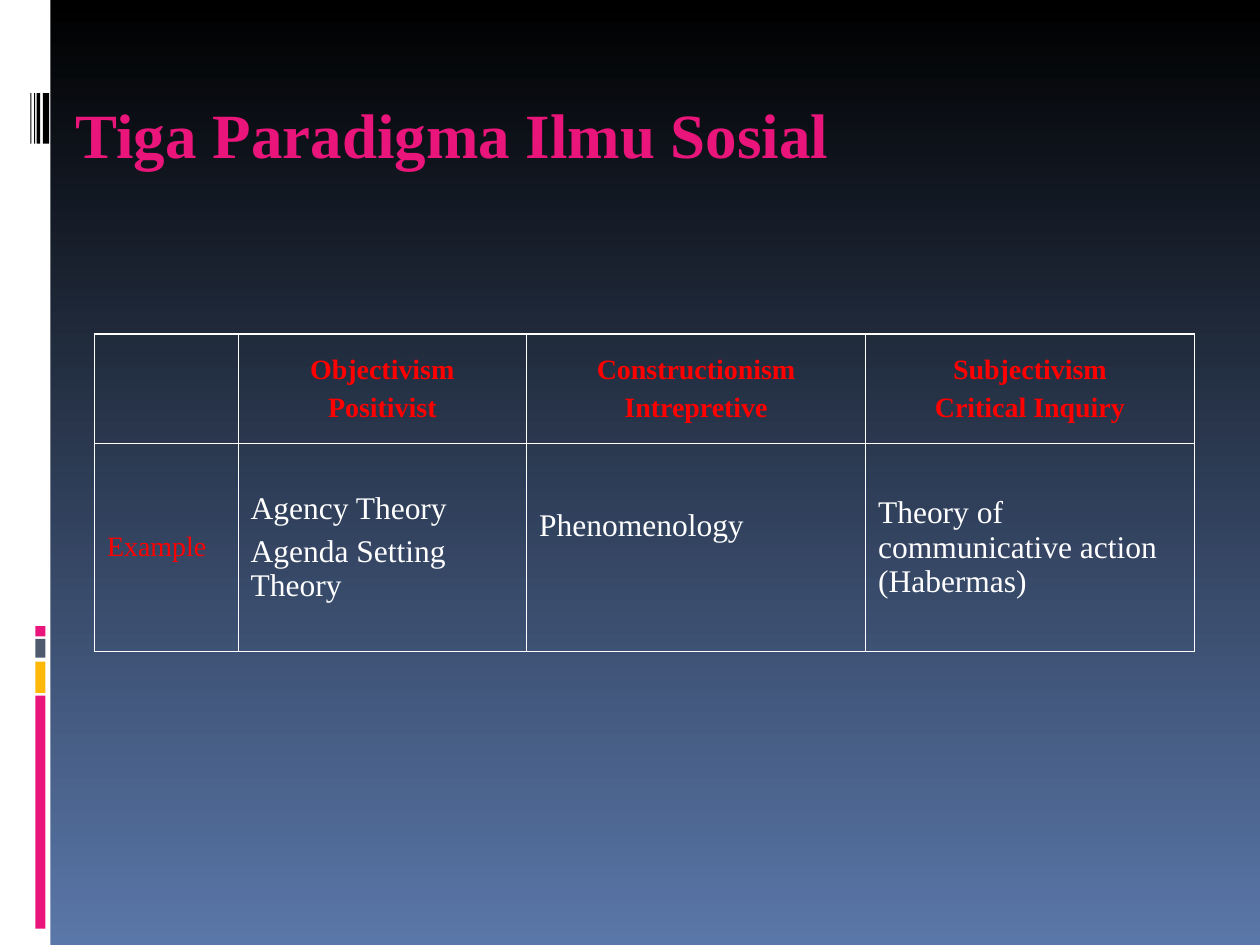
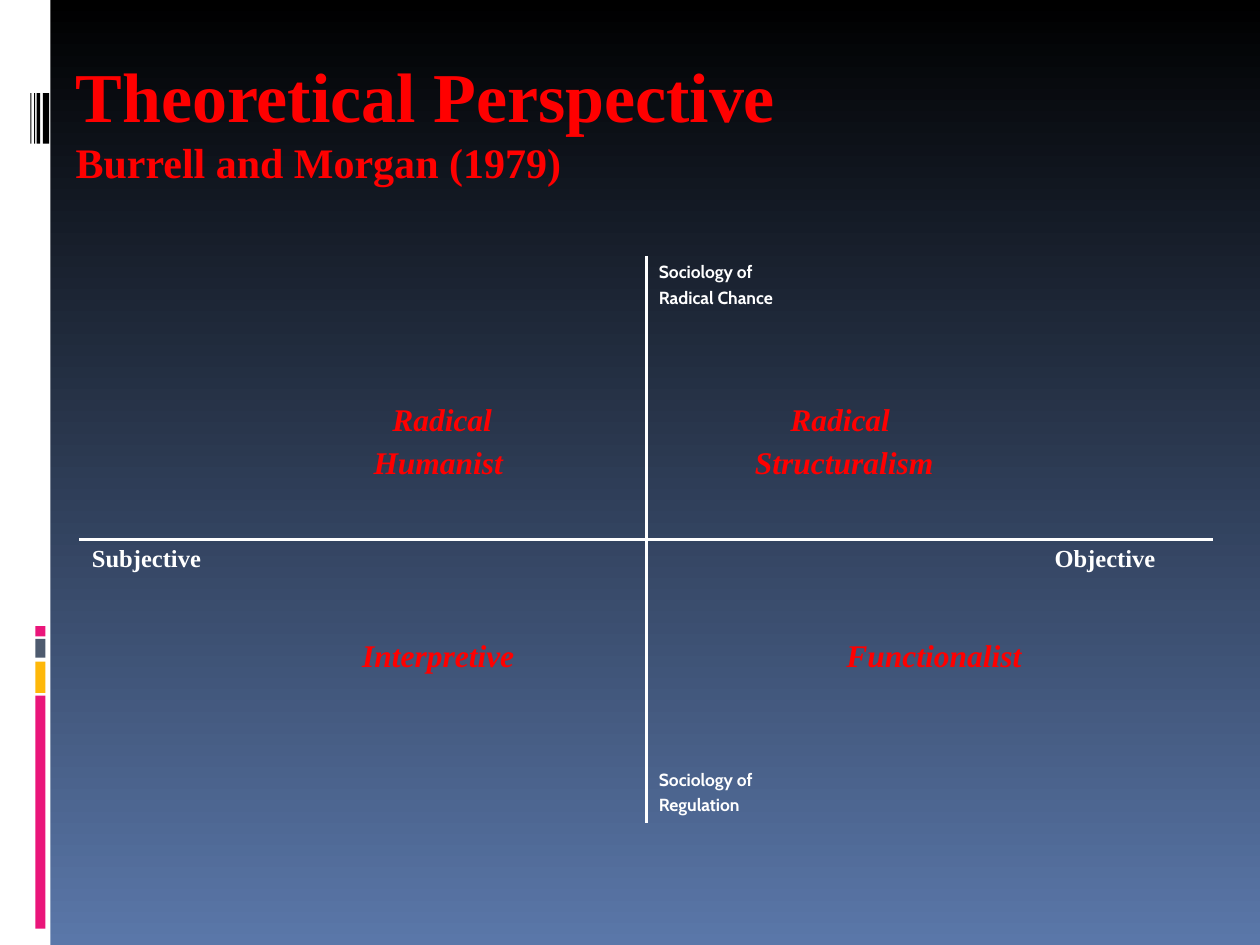
from lxml import etree
from pptx import Presentation
from pptx.dml.color import RGBColor
from pptx.enum.shapes import MSO_SHAPE
from pptx.enum.text import MSO_ANCHOR, MSO_AUTO_SIZE, PP_ALIGN
from pptx.oxml.ns import qn
from pptx.util import Inches, Pt

RECTANGLE = MSO_SHAPE.RECTANGLE
LEFT, CENTER, RIGHT = PP_ALIGN.LEFT, PP_ALIGN.CENTER, PP_ALIGN.RIGHT
TOP, MIDDLE, BOTTOM = MSO_ANCHOR.TOP, MSO_ANCHOR.MIDDLE, MSO_ANCHOR.BOTTOM
NO_AUTOFIT = MSO_AUTO_SIZE.NONE
TITLE_ONLY = 5

COLOURS = {
    "white": "FFFFFF",
    "black": "000000",
    "pink": "EA157A",
    "amber": "FEB80A",
    "slate": "4E5B6F",
    "red": "FF0000",
    "sky": "5A77A9",
}
SERIF, SANS = "Times New Roman", "Cabin"
BANDS = [
    (0, 0, 0.4, 7.5, "white"),
    (0.28, 5.52, 0.08, 1.85, "pink"),
    (0.28, 5.25, 0.08, 0.25, "amber"),
    (0.28, 5.07, 0.08, 0.15, "slate"),
    (0.28, 4.97, 0.08, 0.08, "pink"),
    (0.34, 0.74, 0.05, 0.4, "black"),
    (0.29, 0.74, 0.03, 0.4, "black"),
    (0.27, 0.74, 0.01, 0.4, "black"),
    (0.24, 0.74, 0.01, 0.4, "black"),
]
TEXT_STYLES = {
    "heading": {"size": 16, "colour": "red", "bold": True},
    "row label": {"size": 16, "colour": "red"},
    "body": {"size": 18, "colour": "white"},
    "paradigm": {"size": 18, "colour": "red", "bold": True, "italic": True},
    "pole": {"size": 14, "colour": "white", "bold": True},
    "sociology": {"size": 10, "colour": "white", "bold": True, "name": SANS},
}


def rgb(colour):
    return RGBColor.from_string(COLOURS[colour])


class SlideBuilder:
    def __init__(self):
        self.deck = Presentation()
        self.deck.slide_width = Inches(10)
        self.deck.slide_height = Inches(7.5)
        self.slide = None
        self.background()

    def background(self):
        fill = self.deck.slide_master.background.fill
        fill.gradient()
        fill.gradient_angle = 270
        for stop, colour in zip(fill.gradient_stops, ("black", "sky")):
            stop.color.rgb = rgb(colour)

    def new_slide(self):
        layout = self.deck.slide_layouts[TITLE_ONLY]
        self.slide = self.deck.slides.add_slide(layout)
        for band in BANDS:
            self.rectangle(*band)

    def rectangle(self, left, top, width, height, colour):
        shape = self.slide.shapes.add_shape(
            RECTANGLE, Inches(left), Inches(top), Inches(width), Inches(height))
        shape.shadow.inherit = False
        shape.fill.solid()
        shape.fill.fore_color.rgb = rgb(colour)
        shape.line.fill.background()

    def span(self, para, text, size, colour, bold=False, italic=False, name=SERIF):
        span = para.add_run()
        span.text = text
        font = span.font
        font.name, font.size = name, Pt(size)
        font.bold, font.italic = bold, italic
        font.color.rgb = rgb(colour)

    def title(self, top, height, lines, colour, bottom_inset=0.05):
        box = self.slide.shapes.title
        box.left, box.top = Inches(0.5), Inches(top)
        box.width, box.height = Inches(9), Inches(height)
        frame = box.text_frame
        frame.auto_size = NO_AUTOFIT
        frame.vertical_anchor = MIDDLE
        frame.margin_bottom = Inches(bottom_inset)
        para = frame.paragraphs[0]
        para.alignment = LEFT
        for index, (text, size) in enumerate(lines):
            if index:
                para.add_line_break()
            self.span(para, text, size, colour, bold=True)

    def border(self, cell, side, width):
        properties = cell._tc.get_or_add_tcPr()
        line = etree.SubElement(properties, qn(f"a:ln{side}"))
        if not width:
            etree.SubElement(line, qn("a:noFill"))
            return
        line.set("w", str(int(Pt(width))))
        fill = etree.SubElement(line, qn("a:solidFill"))
        etree.SubElement(fill, qn("a:srgbClr")).set("val", COLOURS["white"])

    def cell_text(self, cell, lines, style, align=LEFT, anchor=MIDDLE, bottom_inset=0.05):
        cell.vertical_anchor = anchor
        cell.margin_bottom = Inches(bottom_inset)
        look = TEXT_STYLES[style]
        frame = cell.text_frame
        for index, text in enumerate(lines):
            para = frame.add_paragraph() if index else frame.paragraphs[0]
            para.alignment = align
            if index:
                para.space_before = Pt(look["size"] / 4)
            self.span(para, text, **look)

    def table(self, left, top, columns, rows, across, down, texts):
        table = self.slide.shapes.add_table(
            len(rows), len(columns), Inches(left), Inches(top),
            Inches(sum(columns)), Inches(sum(rows))).table
        table.first_row = table.horz_banding = False
        for column, width in zip(table.columns, columns):
            column.width = Inches(width)
        for row, height in zip(table.rows, rows):
            row.height = Inches(height)
        for r in range(len(rows)):
            for c in range(len(columns)):
                cell = table.cell(r, c)
                edges = {"L": down[c], "R": down[c + 1], "T": across[r], "B": across[r + 1]}
                for side, width in edges.items():
                    self.border(cell, side, width)
                cell.fill.background()
                if (r, c) in texts:
                    self.cell_text(cell, *texts[r, c])


def paradigms_slide(builder):
    builder.new_slide()
    builder.title(0.63, 0.86, [("Tiga Paradigma Ilmu Sosial", 36)], "pink")
    outer, inner = 1.08, 0.45
    texts = {
        (0, 1): (["Objectivism", "Positivist"], "heading", CENTER),
        (0, 2): (["Constructionism", "Intrepretive"], "heading", CENTER),
        (0, 3): (["Subjectivism", "Critical Inquiry"], "heading", CENTER),
        (1, 0): (["Example"], "row label"),
        (1, 1): (["Agency Theory", "Agenda Setting Theory"], "body"),
        (1, 2): (["Phenomenology"], "body", LEFT, MIDDLE, 0.4),
        (1, 3): (["Theory of communicative action (Habermas)"], "body"),
    }
    builder.table(0.75, 2.65, [1.14, 2.29, 2.69, 2.61], [0.87, 1.65],
                  [outer, inner, outer], [outer, inner, inner, inner, outer], texts)


def perspective_slide(builder):
    builder.new_slide()
    builder.title(0.32, 1.51, [("Theoretical Perspective", 40),
                               ("Burrell and Morgan (1979)", 24)], "red", 0.3)
    axis = [0, 0, 2.21, 0, 0]
    texts = {
        (0, 2): (["Sociology of", "Radical Chance"], "sociology", LEFT, TOP),
        (1, 1): (["Radical", "Humanist "], "paradigm", CENTER, TOP),
        (1, 2): (["Radical ", "Structuralism"], "paradigm", CENTER, TOP),
        (2, 0): (["Subjective"], "pole", LEFT, TOP),
        (2, 1): (["Interpretive "], "paradigm", CENTER, BOTTOM),
        (2, 2): (["Functionalist "], "paradigm", RIGHT, BOTTOM),
        (2, 3): (["Objective"], "pole", LEFT, TOP),
        (3, 2): (["Sociology of", "Regulation"], "sociology", LEFT, BOTTOM),
    }
    builder.table(0.63, 2.03, [1.26, 3.24, 3.14, 1.36], [1.125] * 4, axis, axis, texts)


def main():
    builder = SlideBuilder()
    paradigms_slide(builder)
    perspective_slide(builder)
    builder.deck.save("out.pptx")


if __name__ == "__main__":
    main()
